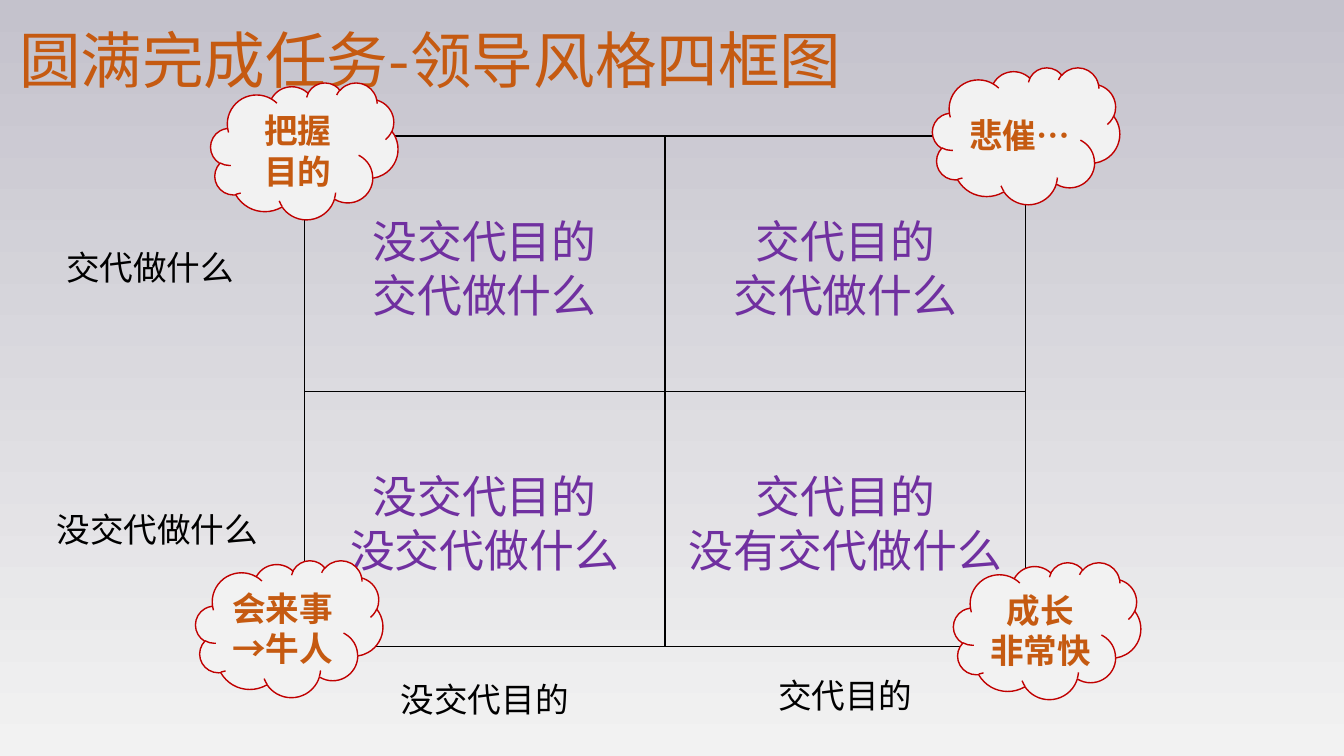
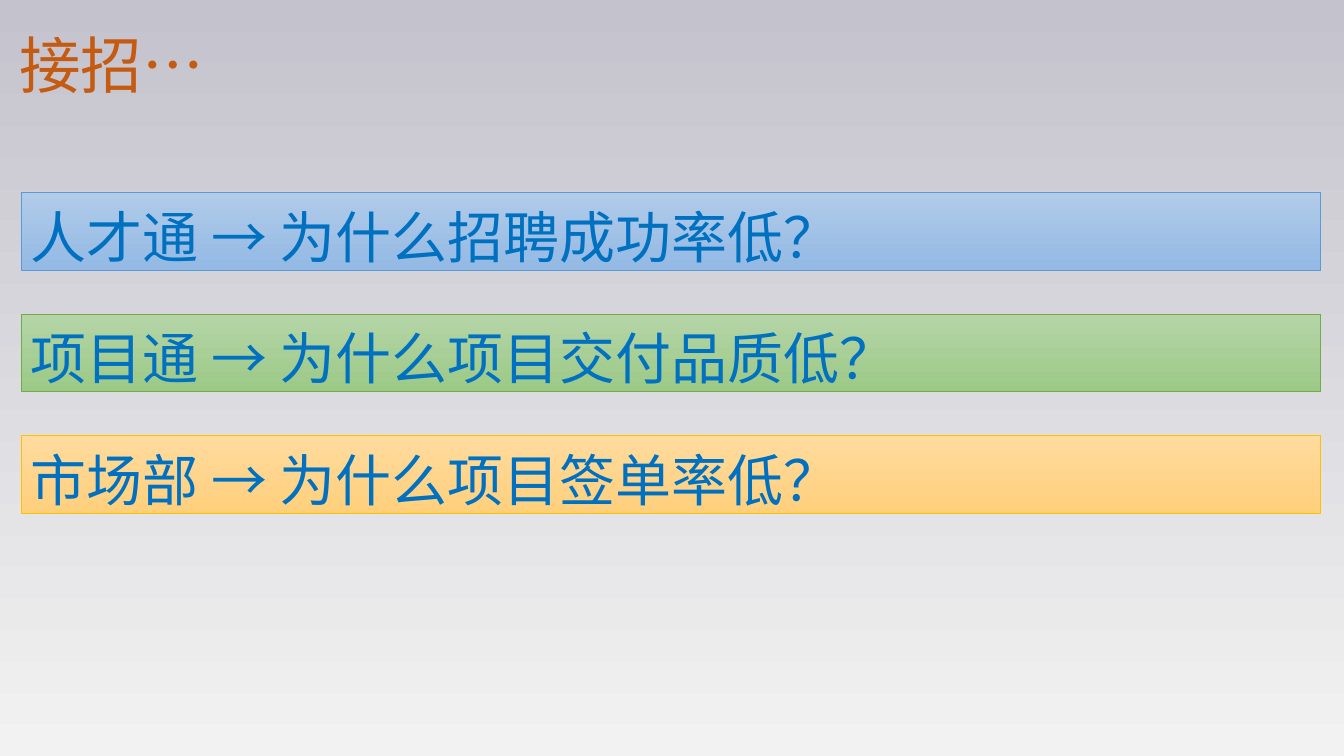
from lxml import etree
from pptx import Presentation
from pptx.dml.color import RGBColor
from pptx.enum.lang import MSO_LANGUAGE_ID
from pptx.enum.shapes import MSO_SHAPE
from pptx.enum.text import MSO_ANCHOR, PP_ALIGN
from pptx.oxml.ns import qn
from pptx.util import Cm, Pt

RECT, CLOUD = MSO_SHAPE.RECTANGLE, MSO_SHAPE.CLOUD
LEFT, CENTER = PP_ALIGN.LEFT, PP_ALIGN.CENTER
MIDDLE = MSO_ANCHOR.MIDDLE
CHINESE = MSO_LANGUAGE_ID.SIMPLIFIED_CHINESE

FONT_JP, FONT_SC = "Noto Sans CJK JP", "Noto Sans CJK SC"
BACK_TOP = RGBColor(0xC4, 0xC2, 0xCC)
PALE = RGBColor(0xF2, 0xF2, 0xF2)
BLACK = RGBColor(0x00, 0x00, 0x00)
ORANGE = RGBColor(0xC5, 0x5A, 0x11)
PURPLE = RGBColor(0x70, 0x30, 0xA0)
RED = RGBColor(0xC0, 0x00, 0x00)
BLUE = RGBColor(0x00, 0x70, 0xC0)

# Content: positions in cm
GRID_TITLE = "圆满完成任务-领导风格四框图"
QUADRANTS = [
    ["没交代目的\n交代做什么", "交代目的\n交代做什么"],
    ["没交代目的\n没交代做什么", "交代目的\n没有交代做什么"],
]
GRID_X, GRID_Y, CELL_W, CELL_H = 7.67, 3.43, 9.09, 6.43
AXIS_LABELS = [
    ("没交代目的", 8.89, 16.92),
    ("交代目的", 17.98, 16.81),
    ("交代做什么", 0.46, 6.02),
    ("没交代做什么", 0.64, 12.62),
]
CLOUDS = [
    ("会来事→牛人", 4.93, 14.12),
    ("成长\n非常快", 24.03, 14.17),
    ("把握\n目的", 5.31, 2.08),
    ("悲催…", 23.5, 1.7),
]
QUESTION_TITLE = "接招…"
# Text, gradient top, gradient bottom, border
QUESTIONS = [
    ("人才通 → 为什么招聘成功率低？", RGBColor(0xB1, 0xCB, 0xE9),
     RGBColor(0x93, 0xB9, 0xE4), RGBColor(0x5B, 0x9B, 0xD5)),
    ("项目通 → 为什么项目交付品质低？", RGBColor(0xB5, 0xD5, 0xA7),
     RGBColor(0x9C, 0xC9, 0x87), RGBColor(0x70, 0xAD, 0x47)),
    ("市场部 → 为什么项目签单率低？", RGBColor(0xFF, 0xDB, 0x9E),
     RGBColor(0xFF, 0xD0, 0x7C), RGBColor(0xFF, 0xC0, 0x00)),
]
BAR_Y, BAR_STEP = 4.85, 3.06


def set_gradient(fill, top, bottom):
    fill.gradient()
    fill.gradient_angle = 270
    for stop, color in zip(fill.gradient_stops, (top, bottom)):
        stop.color.rgb = color


def add_text(s, text, x, y, w, h, size=24, font=FONT_JP, color=BLACK,
             bold=False, align=CENTER, shape=None, fill=None, line=None,
             line_width=1):
    box = tuple(Cm(v) for v in (x, y, w, h))
    if shape is None:
        sp = s.shapes.add_textbox(*box)
    else:
        sp = s.shapes.add_shape(shape, *box)
        sp.shadow.inherit = False
        sp.line.color.rgb = line
        sp.line.width = Pt(line_width)
        if fill is None:
            sp.fill.background()
        elif isinstance(fill, RGBColor):
            sp.fill.solid()
            sp.fill.fore_color.rgb = fill
        else:
            set_gradient(sp.fill, *fill)
    tf = sp.text_frame
    tf.word_wrap = True
    tf.vertical_anchor = MIDDLE
    # The top margin balances the tight line height
    tf.margin_top, tf.margin_bottom = Pt(0.16 * size), 0
    for i, part in enumerate(text.split("\n")):
        p = tf.add_paragraph() if i else tf.paragraphs[0]
        p.alignment = align
        p.line_spacing = Pt(1.2 * size)
        r = p.add_run()
        r.text = part
        f = r.font
        f.size, f.name, f.bold = Pt(size), font, bold
        f.color.rgb = color
        f.language_id = CHINESE
        latin = r._r.rPr.find(qn("a:latin"))
        ea = etree.Element(qn("a:ea"), typeface=font)
        latin.addnext(ea)
    return sp


def add_slide(prs, title, title_y):
    s = prs.slides.add_slide(prs.slide_layouts[6])
    add_text(s, title, 0.23, title_y, 26.14, 2.13, size=44, color=ORANGE,
             align=LEFT)
    return s


def build_grid(prs):
    s = add_slide(prs, GRID_TITLE, 0.3)
    # Quadrants
    for row, texts in enumerate(QUADRANTS):
        for col, text in enumerate(texts):
            add_text(s, text, GRID_X + col * CELL_W, GRID_Y + row * CELL_H,
                     CELL_W, CELL_H, size=32, font=FONT_SC, color=PURPLE,
                     shape=RECT, line=BLACK)
    # Axis labels
    for text, x, y in AXIS_LABELS:
        add_text(s, text, x, y, 6.65, 1.27)
    # Corner clouds
    for text, x, y in CLOUDS:
        add_text(s, text, x, y, 4.72, 3.45, font=FONT_SC, color=ORANGE,
                 bold=True, shape=CLOUD, fill=PALE, line=RED)


def build_questions(prs):
    s = add_slide(prs, QUESTION_TITLE, 0.41)
    for i, (text, top, bottom, border) in enumerate(QUESTIONS):
        add_text(s, text, 0.53, BAR_Y + i * BAR_STEP, 32.74, 1.96, size=40,
                 color=BLUE, align=LEFT, shape=RECT, fill=(top, bottom),
                 line=border, line_width=0.5)


def main():
    prs = Presentation()
    prs.slide_width, prs.slide_height = Cm(33.87), Cm(19.05)
    # Shared background
    set_gradient(prs.slide_master.background.fill, BACK_TOP, PALE)
    build_grid(prs)
    build_questions(prs)
    prs.save("out.pptx")


if __name__ == "__main__":
    main()
